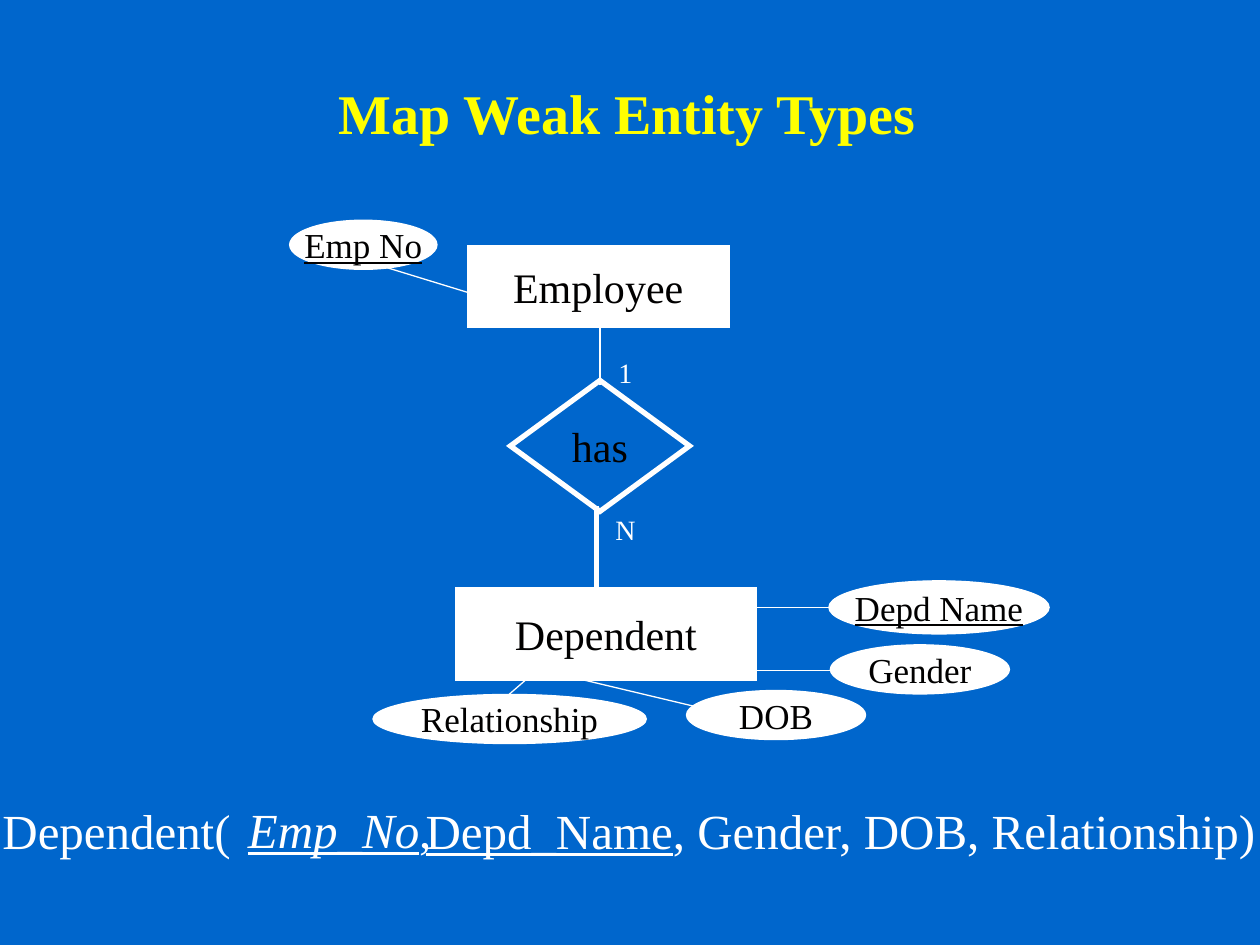
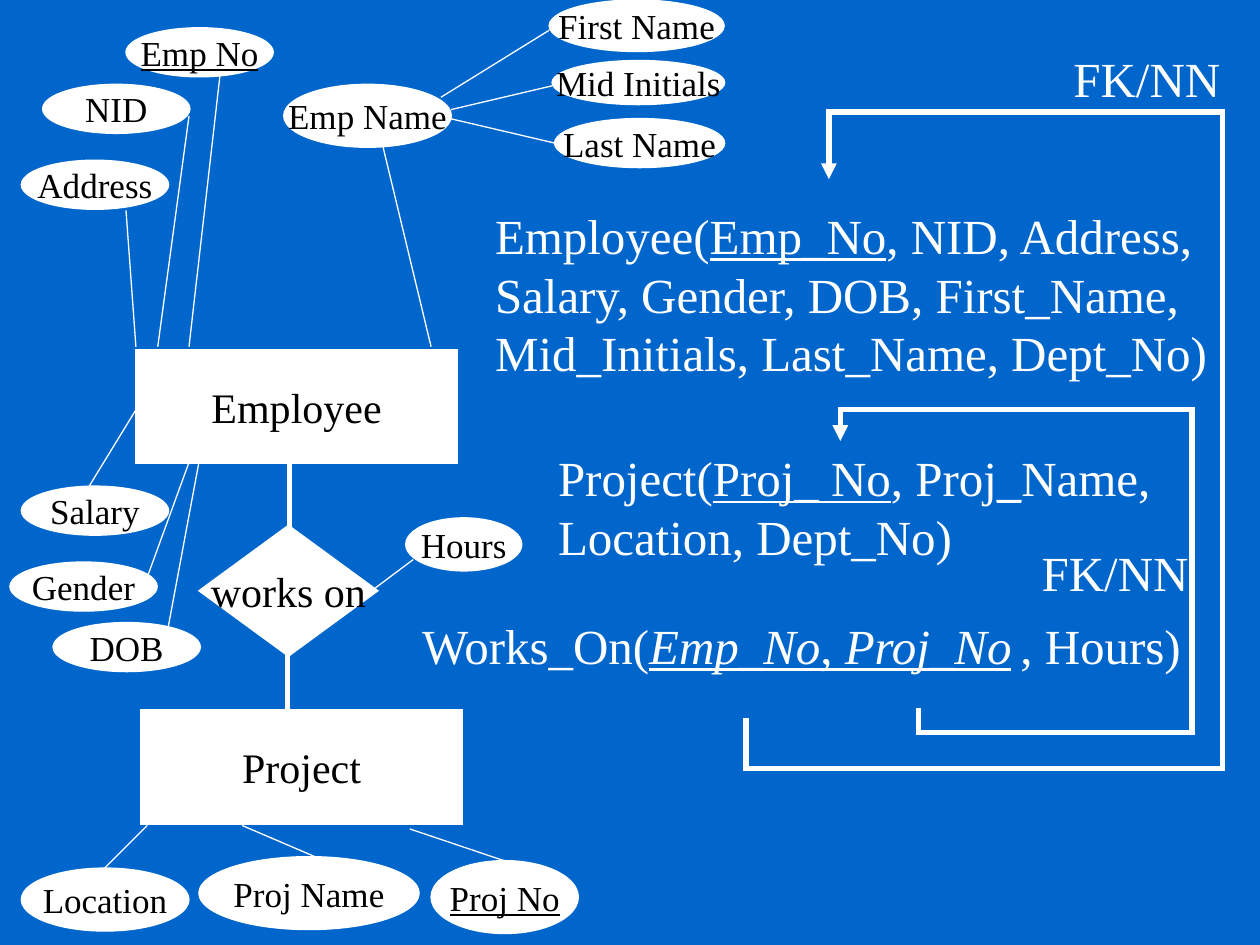
import pptx
import pptx.util
import pptx.dml.color
import pptx.enum.shapes
import pptx.enum.text
import pptx.oxml.ns
import lxml.etree

Cm = pptx.util.Cm
Pt = pptx.util.Pt
qn = pptx.oxml.ns.qn
BLUE = pptx.dml.color.RGBColor(0x00, 0x66, 0xCC)
WHITE = pptx.dml.color.RGBColor(0xFF, 0xFF, 0xFF)
BLACK = pptx.dml.color.RGBColor(0x01, 0x00, 0x00)
YELLOW = pptx.dml.color.RGBColor(0xFF, 0xFF, 0x00)

KIND = pptx.enum.shapes.MSO_SHAPE
RECT, OVAL, RHOMB = KIND.RECTANGLE, KIND.OVAL, KIND.DIAMOND
ALIGN = pptx.enum.text.PP_ALIGN
ANCHOR = pptx.enum.text.MSO_ANCHOR
LEFT, MID = ALIGN.LEFT, ALIGN.CENTER
THIN, BOLD = 0.75, 3

INSET = {"margin_left": Cm(0.25), "margin_right": Cm(0.25),
         "margin_top": Cm(0.13), "margin_bottom": Cm(0.13)}
NODE = {"vertical_anchor": ANCHOR.MIDDLE, "word_wrap": False}
FREE = {"vertical_anchor": ANCHOR.TOP, "word_wrap": False}
WRAP = {"vertical_anchor": ANCHOR.TOP, "word_wrap": True}
HEAD = {"vertical_anchor": ANCHOR.BOTTOM, "word_wrap": True}

ENTITY = {"size": Pt(24), "color": BLACK}
FIELD = {"size": Pt(20), "color": BLACK}
TITLE = {"size": Pt(32), "color": YELLOW, "bold": True}
SCHEMA = {"size": Pt(28), "color": WHITE}
COUNT = {"size": Pt(16), "color": WHITE}


def write(shape, runs, font, frame, align):
    body = shape.text_frame
    for name, value in {**INSET, **frame}.items():
        setattr(body, name, value)
    para = body.paragraphs[0]
    para.alignment = align
    for text, marks in runs:
        run = para.add_run()
        run.text = text
        look = {"name": "Times New Roman", "italic": "i" in marks,
                "underline": "u" in marks, **font}
        run.font.color.rgb = look.pop("color")
        for name, value in look.items():
            setattr(run.font, name, value)
    return para


def stroke(shape, width):
    shape.line.color.rgb = WHITE
    shape.line.width = Pt(width)
    edge = shape._element.spPr.find(qn("a:ln"))
    lxml.etree.SubElement(edge, qn("a:miter"), lim="800000")
    return edge


weak = {
    "lines": [
        (12.09, 7.77, 12.09, 6.6, 1),
        (11.61, 13.67, 14.38, 14.33, THIN),
        (16.74, 12.24, 15.21, 12.24, THIN),
        (16.74, 13.51, 15.21, 13.51, THIN),
        (10.26, 14, 10.64, 13.67, THIN),
        (10.49, 6.22, 7.75, 5.38, THIN),
        (12.03, 10.21, 12.03, 11.91, BOLD),
    ],
    "paths": [],
    "nodes": [
        (RECT, 9.22, 11.89, 5.99, 1.78, "Dependent", "", BOLD, True),
        (RHOMB, 10.29, 7.67, 3.61, 2.64, "has", "", BOLD, False),
        (OVAL, 16.71, 11.71, 4.44, 1.07, "Depd Name", "u", THIN, True),
        (OVAL, 16.74, 13, 3.61, 0.99, "Gender", "", THIN, True),
        (OVAL, 13.84, 13.92, 3.61, 0.99, "DOB", "", THIN, True),
        (OVAL, 7.52, 14, 5.51, 0.99, "Relationship", "", THIN, True),
        (OVAL, 5.84, 4.44, 2.97, 0.99, "Emp No", "u", THIN, True),
        (RECT, 9.42, 4.95, 5.28, 1.65, "Employee", "", THIN, True),
    ],
    "texts": [
        (6.57, 0, 17.36, 3.07, [("Map Weak Entity Types", "")], TITLE, HEAD, LEFT, None),
        (-0.2, 16, 25.8, 1.45,
         [("Dependent(\t", ""), ("Depd_Name", "u"), (", Gender, DOB, Relationship)", "")],
         SCHEMA, FREE, LEFT, 8.53),
        (4.75, 15.98, 4.44, 1.45, [("Emp_No", "iu"), (",", "")], SCHEMA, FREE, LEFT, None),
        (11.76, 7.04, 1.7, 0.94, [("1", "")], COUNT, WRAP, MID, None),
        (11.76, 10.21, 1.7, 0.94, [("N", "")], COUNT, WRAP, MID, None),
    ],
}

works = {
    "lines": [
        (8.89, 1.96, 11.07, 0.61, THIN),
        (9.09, 2.21, 11.13, 1.73, THIN),
        (9.07, 2.39, 11.25, 2.9, THIN),
        (8.69, 6.99, 7.62, 2.54, THIN),
        (3.81, 6.99, 4.44, 1.47, THIN),
        (3.18, 6.99, 3.81, 2.34, THIN),
        (2.74, 6.99, 2.54, 4.24, THIN),
        (2.74, 8.26, 1.7, 9.96, THIN),
        (3.81, 9.32, 2.97, 11.63, THIN),
        (4.01, 9.32, 3.38, 12.7, THIN),
        (8.26, 16.71, 10.16, 17.35, THIN),
        (2.11, 17.5, 2.97, 16.64, THIN),
        (6.35, 17.27, 4.88, 16.64, THIN),
        (8.33, 11.28, 7.49, 11.91, THIN),
        (5.84, 9.32, 5.84, 10.8, BOLD),
        (5.79, 13.13, 5.79, 14.4, BOLD),
    ],
    "paths": [
        [(18.52, 14.27), (18.52, 14.76), (24.03, 14.76),
         (24.03, 8.26), (16.94, 8.26), (16.94, 8.89)],
        [(15.04, 14.48), (15.04, 15.49), (24.64, 15.49),
         (24.64, 2.26), (16.71, 2.26), (16.71, 3.61)],
    ],
    "nodes": [
        (RECT, 2.74, 7.04, 6.48, 2.31, "Employee", "", THIN, True),
        (RECT, 2.84, 14.3, 6.48, 2.31, "Project", "", THIN, True),
        (RHOMB, 4.01, 10.59, 3.61, 2.64, "works on", "", THIN, True),
        (OVAL, 2.54, 0.56, 2.97, 0.99, "Emp No", "u", THIN, True),
        (OVAL, 5.72, 1.7, 3.38, 1.27, "Emp Name", "", THIN, True),
        (OVAL, 0.86, 1.7, 2.97, 0.99, "NID", "", THIN, True),
        (OVAL, 0.43, 9.8, 2.97, 0.99, "Salary", "", THIN, True),
        (OVAL, 0.43, 3.23, 2.97, 0.99, "Address", "", THIN, True),
        (OVAL, 0.2, 11.33, 2.97, 0.99, "Gender", "", THIN, True),
        (OVAL, 1.07, 12.55, 2.97, 0.99, "DOB", "", THIN, True),
        (OVAL, 11.07, 0, 3.53, 1.04, "First Name", "", THIN, True),
        (OVAL, 11.13, 1.22, 3.48, 0.89, "Mid Initials", "", THIN, True),
        (OVAL, 11.18, 2.39, 3.43, 0.99, "Last Name", "", THIN, True),
        (OVAL, 8.69, 17.35, 2.97, 1.47, "Proj No", "u", THIN, True),
        (OVAL, 4.01, 17.27, 4.44, 1.47, "Proj Name", "", THIN, True),
        (OVAL, 0.43, 17.5, 3.38, 1.27, "Location", "", THIN, True),
        (OVAL, 8.18, 10.44, 2.34, 1.07, "Hours", "", THIN, True),
    ],
    "texts": [
        (9.73, 4.01, 14.99, 3.81,
         [("Employee(", ""), ("Emp_No", "u"),
          (", NID, Address, Salary, Gender, DOB, First_Name, "
           "Mid_Initials, Last_Name, Dept_No)", "")],
         SCHEMA, WRAP, LEFT, None),
        (11, 8.89, 12.9, 2.64,
         [("Project(", ""), ("Proj", "u"), ("_", "iu"), (" No", "u"),
          (", Proj", ""), ("_", "iu"), ("Name, Location, Dept_No)", "")],
         SCHEMA, WRAP, LEFT, None),
        (8.26, 12.27, 13.13, 1.45,
         [("Works_On(", ""), ("Emp_No", "iu"), (", ", "u"), ("Proj_No", "iu")],
         SCHEMA, WRAP, LEFT, None),
        (20.32, 12.27, 4.24, 1.45, [(", Hours)", "")], SCHEMA, WRAP, LEFT, None),
        (21.39, 0.84, 3.8, 1.45, [("FK/NN", "")], SCHEMA, WRAP, LEFT, None),
        (20.75, 10.8, 3.8, 1.45, [("FK/NN", "")], SCHEMA, WRAP, LEFT, None),
    ],
}

deck = pptx.Presentation()
deck.slide_width, deck.slide_height = Cm(25.4), Cm(19.05)
back = deck.slide_master.background.fill
back.solid()
back.fore_color.rgb = BLUE

for page in (weak, works):
    shapes = deck.slides.add_slide(deck.slide_layouts[6]).shapes

    for *ends, width in page["lines"]:
        line = shapes.add_connector(
            pptx.enum.shapes.MSO_CONNECTOR.STRAIGHT, *map(Cm, ends))
        stroke(line, width)
        lxml.etree.SubElement(line._element.spPr, qn("a:effectLst"))

    for path in page["paths"]:
        dots = [(Cm(x), Cm(y)) for x, y in path]
        pen = shapes.build_freeform(*dots[0])
        pen.add_line_segments(dots[1:], close=False)
        link = pen.convert_to_shape()
        link.shadow.inherit = False
        link.fill.background()
        edge = stroke(link, BOLD)
        lxml.etree.SubElement(edge, qn("a:tailEnd"), type="triangle")

    for kind, x, y, w, h, label, marks, width, full in page["nodes"]:
        node = shapes.add_shape(kind, Cm(x), Cm(y), Cm(w), Cm(h))
        node.shadow.inherit = False
        if full:
            node.fill.solid()
            node.fill.fore_color.rgb = WHITE
        else:
            node.fill.background()
        stroke(node, width)
        write(node, [(label, marks)], FIELD if kind == OVAL else ENTITY, NODE, MID)

    for x, y, w, h, runs, font, frame, align, stop in page["texts"]:
        box = shapes.add_textbox(Cm(x), Cm(y), Cm(w), Cm(h))
        para = write(box, runs, font, frame, align)
        if stop:
            tabs = lxml.etree.SubElement(para._p.get_or_add_pPr(), qn("a:tabLst"))
            lxml.etree.SubElement(tabs, qn("a:tab"), pos=str(Cm(stop)), algn="l")

deck.save("out.pptx")
